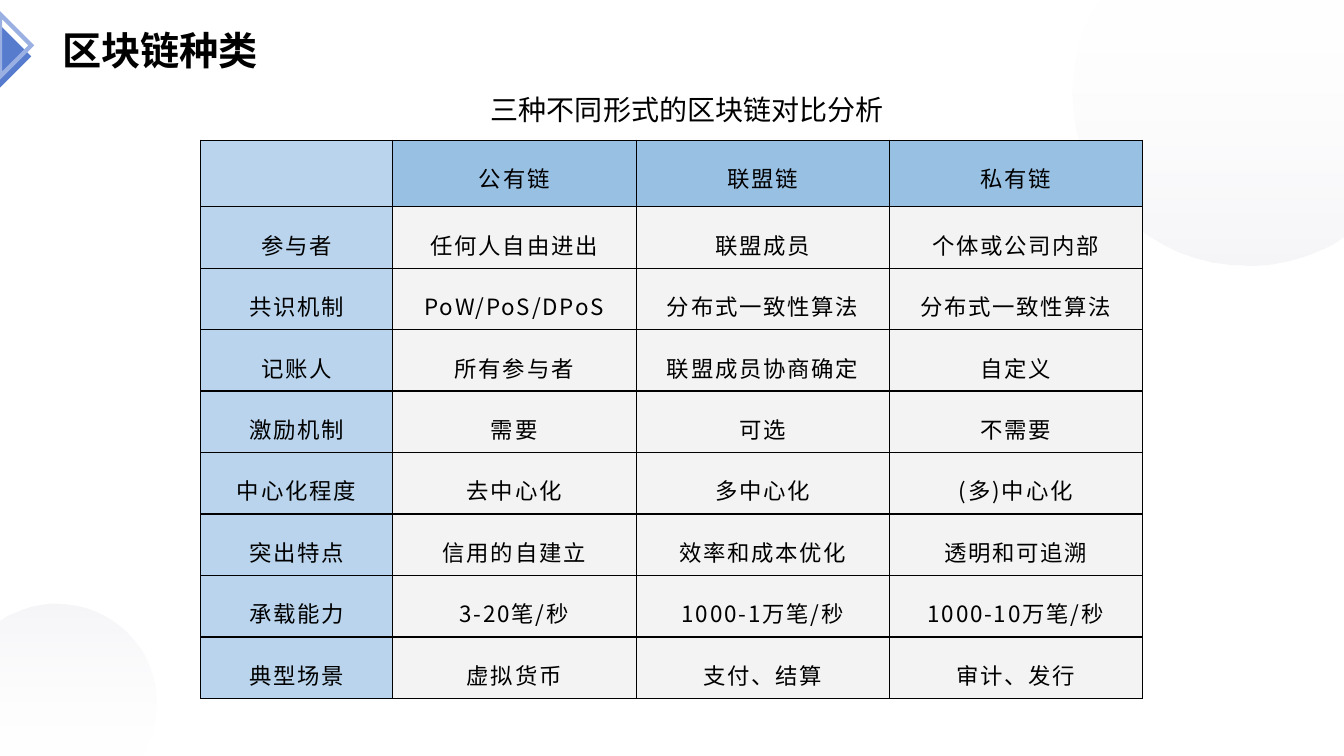
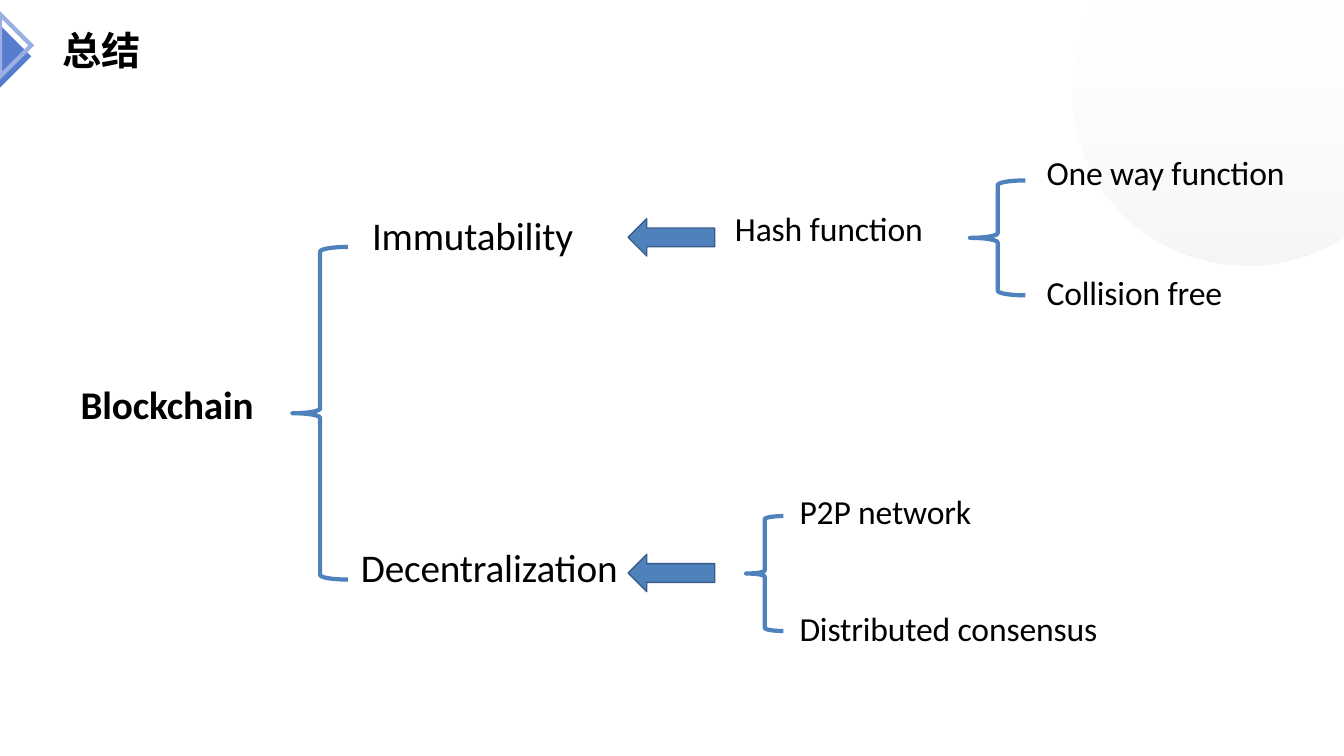
"""Build two slides on blockchain types and a closing summary."""
from lxml.etree import SubElement
from pptx import Presentation
from pptx.dml.color import RGBColor
from pptx.enum.shapes import MSO_SHAPE as Shape
from pptx.enum.text import MSO_ANCHOR as Anchor, PP_ALIGN as Align
from pptx.oxml.ns import qn
from pptx.util import Inches, Pt

WIDTH, HEIGHT = 13.33, 7.5
COLORS = {
    "black": "000000", "white": "FFFFFF", "mist": "D8D8E4",
    "marker": "577CCE", "marker_line": "9AB0E2",
    "accent": "4F81BC", "accent_line": "385D89",
    "header": "98C0E3", "label": "B9D4EC", "body": "F3F3F3",
}
CJK = "Noto Sans CJK SC"

TOP_DISC = [
    [(10.92, 0)], [(13.33, 0)], [(13.33, 2.34)], [(13.2, 2.42)],
    [(12.95, 2.55), (12.67, 2.63), (12.37, 2.63)],
    [(11.41, 2.63), (10.64, 1.87), (10.64, 0.92)],
    [(10.64, 0.63), (10.71, 0.35), (10.85, 0.11)],
]
BOTTOM_DISC = [
    [(1.39, 7.5)], [(0, 7.5)], [(0, 6.16)], [(0.08, 6.11)],
    [(0.22, 6.04), (0.38, 5.99), (0.55, 5.99)],
    [(1.1, 5.99), (1.55, 6.43), (1.55, 6.97)],
    [(1.55, 7.14), (1.5, 7.3), (1.43, 7.44)],
]

TYPES_TITLE = "区块链种类"
TYPES_CAPTION = "三种不同形式的区块链对比分析"
TYPES_ROWS = [
    ("", "公有链", "联盟链", "私有链"),
    ("参与者", "任何人自由进出", "联盟成员", "个体或公司内部"),
    ("共识机制", "PoW/PoS/DPoS", "分布式一致性算法", "分布式一致性算法"),
    ("记账人", "所有参与者", "联盟成员协商确定", "自定义"),
    ("激励机制", "需要", "可选", "不需要"),
    ("中心化程度", "去中心化", "多中心化", "(多)中心化"),
    ("突出特点", "信用的自建立", "效率和成本优化", "透明和可追溯"),
    ("承载能力", "3-20笔/秒", "1000-1万笔/秒", "1000-10万笔/秒"),
    ("典型场景", "虚拟货币", "支付、结算", "审计、发行"),
]
COLUMN_WIDTHS = (1.9, 2.42, 2.51, 2.51)
HEADER_HEIGHT, ROW_HEIGHT = 0.66, 0.61

SUMMARY_TITLE = "总结"
SUMMARY_TERMS = [
    ("Blockchain", 0.8, 3.76, 1.9, 28, True),
    ("Immutability", 3.69, 2.09, 2.2, 28, False),
    ("Decentralization", 3.58, 5.38, 2.65, 28, False),
    ("Hash function", 7.29, 2.05, 2.1, 24, False),
    ("One way function", 10.38, 1.5, 2.6, 24, False),
    ("Collision free", 10.38, 2.69, 2.1, 24, False),
    ("P2P network", 7.93, 4.86, 2.1, 24, False),
    ("Distributed consensus", 7.93, 6.02, 3.3, 24, False),
]
BRACES = [(2.9, 2.45, 0.55, 3.3), (9.62, 1.79, 0.55, 1.14), (7.4, 5.12, 0.37, 1.14)]
ARROWS = [(6.23, top, 0.86, 0.37) for top in (2.17, 5.5)]


def rgb(name):
    return RGBColor.from_string(COLORS[name])


def style(p, size, font, bold=False, spacing=0):
    for r in p.runs:
        r.font.size, r.font.name, r.font.bold = Pt(size), font, bold
        r.font.color.rgb = rgb("black")
        rPr = r._r.get_or_add_rPr()
        rPr.set("spc", str(spacing))
        SubElement(rPr, qn("a:ea")).set("typeface", CJK)


def add_text(slide, text, box, size, font, bold=False, spacing=0, margins=None):
    tf = slide.shapes.add_textbox(*map(Inches, box)).text_frame
    tf.word_wrap = True
    if margins:
        tf.margin_left, tf.margin_top, tf.margin_right, tf.margin_bottom = map(Inches, margins)
    p = tf.paragraphs[0]
    p.text = text
    p.alignment = Align.LEFT
    style(p, size, font, bold, spacing)


def paint(sp, fill=None, line=None, weight=1):
    sp.shadow.inherit = False
    if fill:
        sp.fill.solid()
        sp.fill.fore_color.rgb = rgb(fill)
    else:
        sp.fill.background()
    if line:
        sp.line.color.rgb = rgb(line)
        sp.line.width = Pt(weight)
    else:
        sp.line.fill.background()


def add_outline(slide, segments):
    """Draw a closed outline; a segment of three points is a Bezier curve."""
    ends = [(Inches(x), Inches(y)) for x, y in (segment[-1] for segment in segments)]
    builder = slide.shapes.build_freeform(*ends[0])
    builder.add_line_segments(ends[1:], close=True)
    sp = builder.convert_to_shape()
    lines = list(sp._element.spPr.iter(qn("a:lnTo")))
    for ln, segment in zip(lines, segments[1:]):
        if len(segment) == 3:
            ln.tag = qn("a:cubicBezTo")
            ln.remove(ln[0])
            for x, y in segment:
                pt = SubElement(ln, qn("a:pt"))
                pt.set("x", str(Inches(x) - sp.left))
                pt.set("y", str(Inches(y) - sp.top))
    return sp


def add_disc(slide, segments, angle):
    sp = add_outline(slide, segments)
    paint(sp)
    sp.fill.gradient()
    sp.fill.gradient_angle = angle
    for stop, color in zip(sp.fill.gradient_stops, ("white", "mist")):
        stop.color.rgb = rgb(color)
    for clr, opacity in zip(sp._element.spPr.iter(qn("a:srgbClr")), (10, 24)):
        SubElement(clr, qn("a:alpha")).set("val", str(opacity * 1000))


def add_base(prs, title):
    slide = prs.slides.add_slide(prs.slide_layouts[6])
    slide.background.fill.solid()
    slide.background.fill.fore_color.rgb = rgb("white")
    add_disc(slide, TOP_DISC, 270)
    for top, fill, line in ((0.25, "marker", None), (0.14, None, "marker_line")):
        triangle = add_outline(slide, [[(0, top)], [(0.31, top + 0.31)], [(0, top + 0.62)]])
        paint(triangle, fill, line, 3)
        if line:
            SubElement(triangle.line._get_or_add_ln(), qn("a:miter")).set("lim", "800000")
    add_text(slide, title, (0.52, 0.21, 2.75, 0.57), 28, CJK, bold=True)
    return slide


def format_cell(cell, text, fill):
    tcPr = cell._tc.get_or_add_tcPr()
    for side in ("lnL", "lnR", "lnT", "lnB"):
        ln = SubElement(tcPr, qn("a:" + side), w=str(Pt(1)))
        clr = SubElement(SubElement(ln, qn("a:solidFill")), qn("a:srgbClr"))
        clr.set("val", COLORS["black"])
    cell.fill.solid()
    cell.fill.fore_color.rgb = rgb(fill)
    if text:
        cell.margin_left = cell.margin_right = Inches(0.24)
        cell.margin_top, cell.margin_bottom = Inches(0.15), Inches(0.14)
        cell.vertical_anchor = Anchor.MIDDLE
        p = cell.text_frame.paragraphs[0]
        p.text = text
        p.alignment, p.line_spacing = Align.CENTER, 1.2
        style(p, 16, CJK, spacing=130)


def build_types(prs):
    slide = add_base(prs, TYPES_TITLE)
    add_disc(slide, BOTTOM_DISC, 90)
    heights = [HEADER_HEIGHT] + [ROW_HEIGHT] * (len(TYPES_ROWS) - 1)
    box = (1.99, 1.39, sum(COLUMN_WIDTHS), sum(heights))
    table = slide.shapes.add_table(len(heights), len(COLUMN_WIDTHS), *map(Inches, box)).table
    for column, width in zip(table.columns, COLUMN_WIDTHS):
        column.width = Inches(width)
    for i, (row, height) in enumerate(zip(table.rows, heights)):
        row.height = Inches(height)
        for j, text in enumerate(TYPES_ROWS[i]):
            fill = "label" if j == 0 else "header" if i == 0 else "body"
            format_cell(table.cell(i, j), text, fill)
    add_text(slide, TYPES_CAPTION, (4.77, 0.87, 4.16, 0.44), 20, "Arial")


def build_summary(prs):
    slide = add_base(prs, SUMMARY_TITLE)
    for box in BRACES:
        sp = slide.shapes.add_shape(Shape.LEFT_BRACE, *map(Inches, box))
        paint(sp, line="accent", weight=3)
    for box in ARROWS:
        sp = slide.shapes.add_shape(Shape.LEFT_ARROW, *map(Inches, box))
        paint(sp, "accent", "accent_line")
    for text, left, top, width, size, bold in SUMMARY_TERMS:
        box = (left, top, width, 0.49 if size == 28 else 0.43)
        add_text(slide, text, box, size, "Calibri", bold, -10, (0, 0.01, 0, 0))


def main():
    prs = Presentation()
    prs.slide_width, prs.slide_height = Inches(WIDTH), Inches(HEIGHT)
    build_types(prs)
    build_summary(prs)
    prs.save("out.pptx")


if __name__ == "__main__":
    main()
